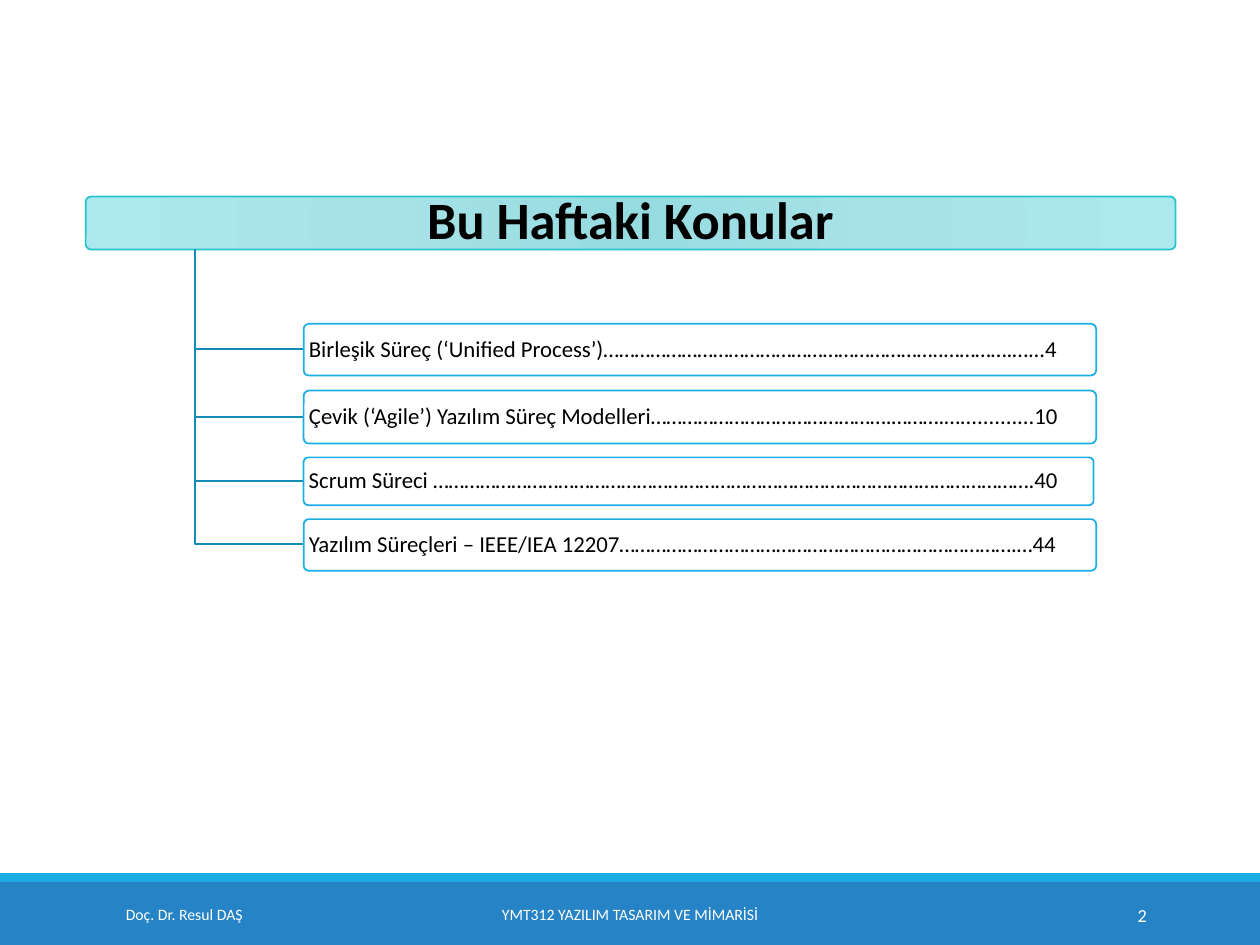
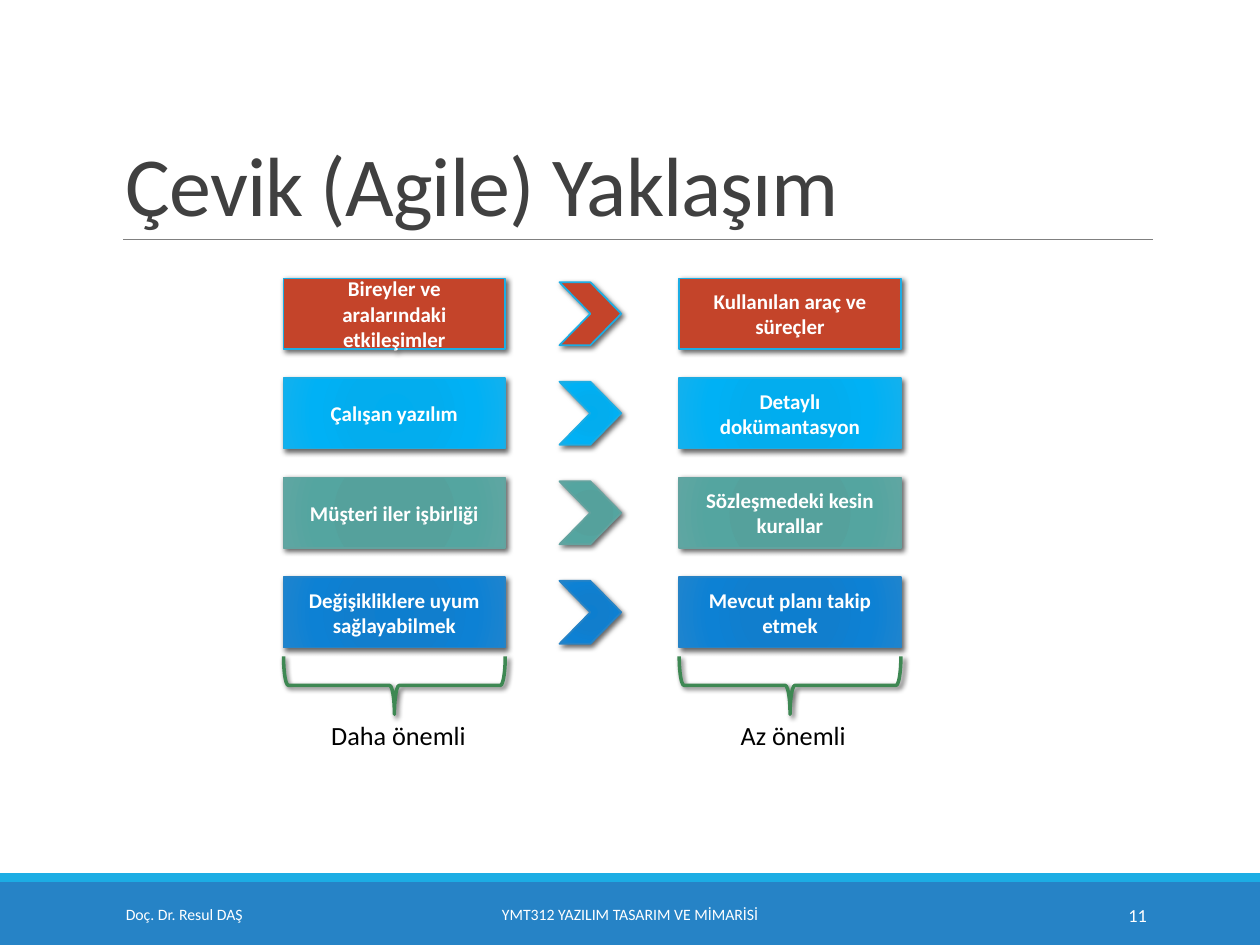
from dataclasses import dataclass
from typing import NamedTuple, Optional

from pptx import Presentation
from pptx.dml.color import RGBColor
from pptx.enum.shapes import MSO_CONNECTOR, MSO_SHAPE
from pptx.enum.text import MSO_ANCHOR, MSO_AUTO_SIZE, PP_ALIGN
from pptx.oxml import parse_xml
from pptx.oxml.ns import nsdecls, qn
from pptx.util import Pt

PX = 9144  # EMU per px, 100 px to the inch


class Box(NamedTuple):
    left: int
    top: int
    width: int
    height: int

    def emu(self) -> list[int]:
        return [side * PX for side in self]


class Stop(NamedTuple):
    position: int
    color: str


class Paint(NamedTuple):
    """One stop is a solid fill, several stops run outwards from the centre."""
    stops: tuple[Stop, ...]
    line: str


class Type(NamedTuple):
    size: float
    color: str
    bold: bool = False
    line_spacing: Optional[float] = None


def solid(fill: str, line: str) -> Paint:
    return Paint((Stop(0, fill),), line)


def radial(line: str, *stops: tuple[int, str]) -> Paint:
    return Paint(tuple(Stop(*stop) for stop in stops), line)


@dataclass(frozen=True)
class Theme:
    font: str = "Calibri"
    footer_band: str = "2683C6"
    accent: str = "1CADE4"
    title_rule: str = "808080"
    branch: str = "168BB7"
    brace: str = "3E8853"
    shadow: str = "000000"
    title: Type = Type(48, "404040", line_spacing=0.85)
    footer: Type = Type(9, "FFFFFF")
    page_number: Type = Type(10.5, "FFFFFF")
    agenda_title: Type = Type(30, "000000", True, 0.9)
    topic: Type = Type(13, "000000", line_spacing=0.9)
    value: Type = Type(12, "FFFFFF", True)
    caption: Type = Type(15, "000000")
    agenda_paint: Paint = radial("28C4CC", (0, "95DBE0"), (45, "A7E2E7"), (100, "ACE9EE"))
    topic_paint: Paint = solid("FFFFFF", "1CADE4")
    red: Paint = solid("C4442A", "1CADE4")
    sky: Paint = radial("1CADE4", (0, "00ADEF"), (34, "03ADEE"), (70, "00B1F5"), (100, "12B1EE"))
    teal: Paint = radial("62A39F", (0, "52A19C"), (34, "55A19C"), (70, "54A5A0"), (100, "5FA6A2"))
    blue: Paint = radial("2683C6", (0, "0D7ECF"), (34, "117ECD"), (70, "0D81D4"), (100, "1E84CE"))


THEME = Theme()


class Topic(NamedTuple):
    text: str
    box: Box


class Preference(NamedTuple):
    preferred: str
    lesser: str
    paint: Paint


class Column(NamedTuple):
    left: int
    caption: str
    caption_box: Box


AGENDA = Box(68, 156, 865, 42)
TRUNK_X = 155
TOPICS = (
    Topic("Birleşik Süreç (‘Unified Process’)………………………………………………………..………….…...4",
          Box(241, 257, 629, 41)),
    Topic("Çevik (‘Agile’) Yazılım Süreç Modelleri……………………………………….……….….............10",
          Box(241, 310, 629, 42)),
    Topic("Scrum Süreci …………………………………………………………………………………………………….40",
          Box(241, 363, 627, 38)),
    Topic("Yazılım Süreçleri – IEEE/IEA 12207………………………………………………………………….…44",
          Box(241, 412, 629, 41)),
)

PREFERENCES = (
    Preference("Bireyler ve aralarındaki etkileşimler", "Kullanılan araç ve süreçler", THEME.red),
    Preference("Çalışan yazılım", "Detaylı dokümantasyon", THEME.sky),
    Preference("Müşteri iler işbirliği", "Sözleşmedeki kesin kurallar", THEME.teal),
    Preference("Değişikliklere uyum sağlayabilmek", "Mevcut planı takip etmek", THEME.blue),
)
COLUMNS = (
    Column(225, "Daha önemli", Box(253, 566, 128, 35)),
    Column(539, "Az önemli", Box(578, 566, 105, 35)),
)
ROW_TOP, ROW_PITCH = 221, 79
VALUE_WIDTH, VALUE_HEIGHT = 176, 56
CHEVRON_LEFT, CHEVRON_WIDTH, CHEVRON_HEIGHT = 444, 49, 50
BRACE_TOP, BRACE_DEPTH = 521, 46


def rgb(color: str) -> RGBColor:
    return RGBColor.from_string(color)


def write(shape, text: str, style: Type, align=PP_ALIGN.LEFT, anchor=MSO_ANCHOR.MIDDLE,
          inset: tuple[int, int] = (10, 5)) -> None:
    frame = shape.text_frame
    frame.word_wrap = True
    frame.vertical_anchor = anchor
    frame.margin_left = frame.margin_right = inset[0] * PX
    frame.margin_top = frame.margin_bottom = inset[1] * PX
    paragraph = frame.paragraphs[0]
    paragraph.text = text
    paragraph.alignment = align
    paragraph.line_spacing = style.line_spacing
    paragraph.font.name = THEME.font
    paragraph.font.size = Pt(style.size)
    paragraph.font.bold = style.bold
    paragraph.font.color.rgb = rgb(style.color)


def add_label(slide, box: Box, text: str, style: Type, **layout):
    label = slide.shapes.add_textbox(*box.emu())
    write(label, text, style, **layout)
    return label


def set_line(shape, color: str, width: float = 1) -> None:
    shape.line.color.rgb = rgb(color)
    shape.line.width = Pt(width)


def cast_shadow(shape) -> None:
    effects = shape._element.spPr.find(qn("a:effectLst"))
    effects.append(parse_xml(
        f'<a:outerShdw {nsdecls("a")} blurRad="{Pt(3)}" dist="{Pt(2)}" dir="{45 * 60000}"'
        f' algn="ctr" rotWithShape="0"><a:srgbClr val="{THEME.shadow}">'
        '<a:alpha val="60000"/></a:srgbClr></a:outerShdw>'))


def fill_radial(shape, stops: tuple[Stop, ...]) -> None:
    marks = "".join(f'<a:gs pos="{stop.position * 1000}"><a:srgbClr val="{stop.color}"/></a:gs>'
                    for stop in stops)
    properties = shape._element.spPr
    properties.replace(properties.find(qn("a:solidFill")), parse_xml(
        f'<a:gradFill {nsdecls("a")} rotWithShape="1"><a:gsLst>{marks}</a:gsLst>'
        '<a:path path="circle"><a:fillToRect l="100000" t="100000" r="100000" b="100000"/>'
        '</a:path></a:gradFill>'))


def add_painted(slide, preset, box: Box, paint: Paint, shadow: bool = False):
    shape = slide.shapes.add_shape(preset, *box.emu())
    shape.shadow.inherit = False
    shape.fill.solid()
    shape.fill.fore_color.rgb = rgb(paint.stops[0].color)
    if len(paint.stops) > 1:
        fill_radial(shape, paint.stops)
    set_line(shape, paint.line)
    if shadow:
        cast_shadow(shape)
    return shape


def add_rounded(slide, box: Box, paint: Paint):
    shape = add_painted(slide, MSO_SHAPE.ROUNDED_RECTANGLE, box, paint)
    shape.adjustments[0] = 0.1
    return shape


def add_base(deck, page: int):
    """Add a blank slide with the footer bands, author, course and page number."""
    slide = deck.slides.add_slide(deck.slide_layouts[6])
    for box, color in ((Box(0, 700, 1000, 50), THEME.footer_band),
                       (Box(0, 693, 1000, 7), THEME.accent)):
        band = add_painted(slide, MSO_SHAPE.RECTANGLE, box, solid(color, color))
        band.line.fill.background()
    add_label(slide, Box(90, 706, 203, 40), "Doç. Dr. Resul DAŞ", THEME.footer)
    add_label(slide, Box(302, 706, 396, 40), "YMT312 YAZILIM TASARIM VE MİMARİSİ",
              THEME.footer, align=PP_ALIGN.CENTER)
    add_label(slide, Box(812, 706, 108, 40), str(page), THEME.page_number, align=PP_ALIGN.RIGHT)
    return slide


def add_title(slide, text: str) -> None:
    rule = slide.shapes.add_connector(MSO_CONNECTOR.STRAIGHT, 98 * PX, 190 * PX, 915 * PX, 190 * PX)
    set_line(rule, THEME.title_rule, 0.5)
    rule._element.spPr.append(parse_xml(f'<a:effectLst {nsdecls("a")}/>'))
    title = add_label(slide, Box(90, 31, 825, 159), text, THEME.title, anchor=MSO_ANCHOR.BOTTOM)
    title.text_frame.paragraphs[0].runs[0]._r.get_or_add_rPr().set("spc", "-50")


def add_branch(slide, topic: Box) -> None:
    start_y, end_y = AGENDA.top + AGENDA.height, topic.top + topic.height // 2
    outline = slide.shapes.build_freeform(TRUNK_X, start_y, scale=PX)
    outline.add_line_segments([(TRUNK_X, end_y), (topic.left, end_y)], close=False)
    branch = outline.convert_to_shape()
    branch.shadow.inherit = False
    branch.fill.background()
    set_line(branch, THEME.branch)


def add_brace(slide, column: Column) -> None:
    """Draw a brace below a column: an upright one turned about its centre."""
    shift = (VALUE_WIDTH - BRACE_DEPTH) // 2
    upright = Box(column.left + shift, BRACE_TOP - shift, BRACE_DEPTH, VALUE_WIDTH)
    brace = slide.shapes.add_shape(MSO_SHAPE.RIGHT_BRACE, *upright.emu())
    brace.rotation = 90
    brace.shadow.inherit = False
    brace.fill.background()
    set_line(brace, THEME.brace, 2)
    cast_shadow(brace)


def build_agenda(deck) -> None:
    slide = add_base(deck, 2)
    heading = add_rounded(slide, AGENDA, THEME.agenda_paint)
    write(heading, "Bu Haftaki Konular", THEME.agenda_title, align=PP_ALIGN.CENTER, inset=(6, 4))
    for topic in TOPICS:
        add_branch(slide, topic.box)
        entry = add_rounded(slide, topic.box, THEME.topic_paint)
        write(entry, topic.text, THEME.topic, inset=(3, 2))


def build_agile_values(deck) -> None:
    slide = add_base(deck, 11)
    add_title(slide, "Çevik (Agile) Yaklaşım")
    for row, preference in enumerate(PREFERENCES):
        top = ROW_TOP + row * ROW_PITCH
        for column, text in zip(COLUMNS, (preference.preferred, preference.lesser)):
            value = add_painted(slide, MSO_SHAPE.RECTANGLE,
                                Box(column.left, top, VALUE_WIDTH, VALUE_HEIGHT),
                                preference.paint, shadow=True)
            write(value, text, THEME.value, align=PP_ALIGN.CENTER)
        chevron_top = top + (VALUE_HEIGHT - CHEVRON_HEIGHT) // 2
        add_painted(slide, MSO_SHAPE.CHEVRON,
                    Box(CHEVRON_LEFT, chevron_top, CHEVRON_WIDTH, CHEVRON_HEIGHT),
                    preference.paint, shadow=True)
    for column in COLUMNS:
        add_brace(slide, column)
        caption = add_label(slide, column.caption_box, column.caption, THEME.caption,
                            anchor=MSO_ANCHOR.TOP)
        caption.text_frame.word_wrap = False
        caption.text_frame.auto_size = MSO_AUTO_SIZE.SHAPE_TO_FIT_TEXT


def main() -> None:
    deck = Presentation()
    deck.slide_width, deck.slide_height = 1000 * PX, 750 * PX
    build_agenda(deck)
    build_agile_values(deck)
    deck.save("out.pptx")


if __name__ == "__main__":
    main()
